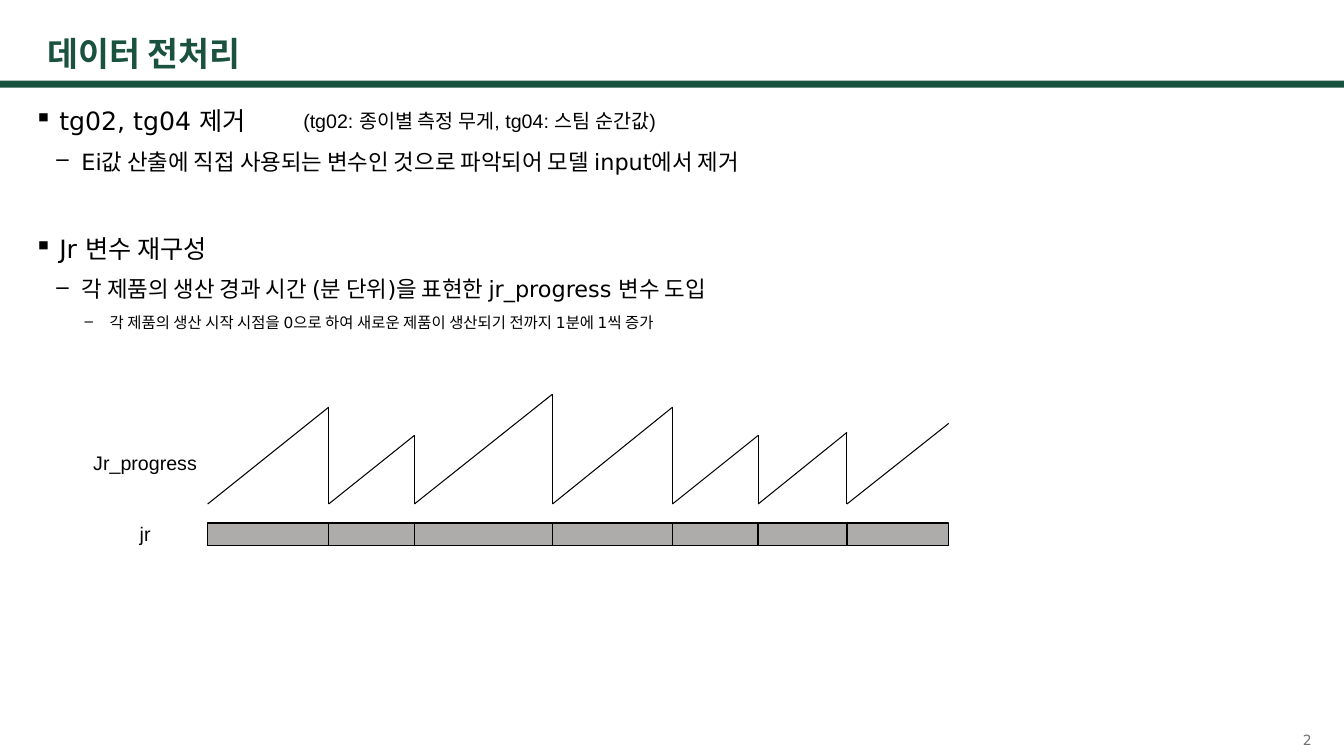
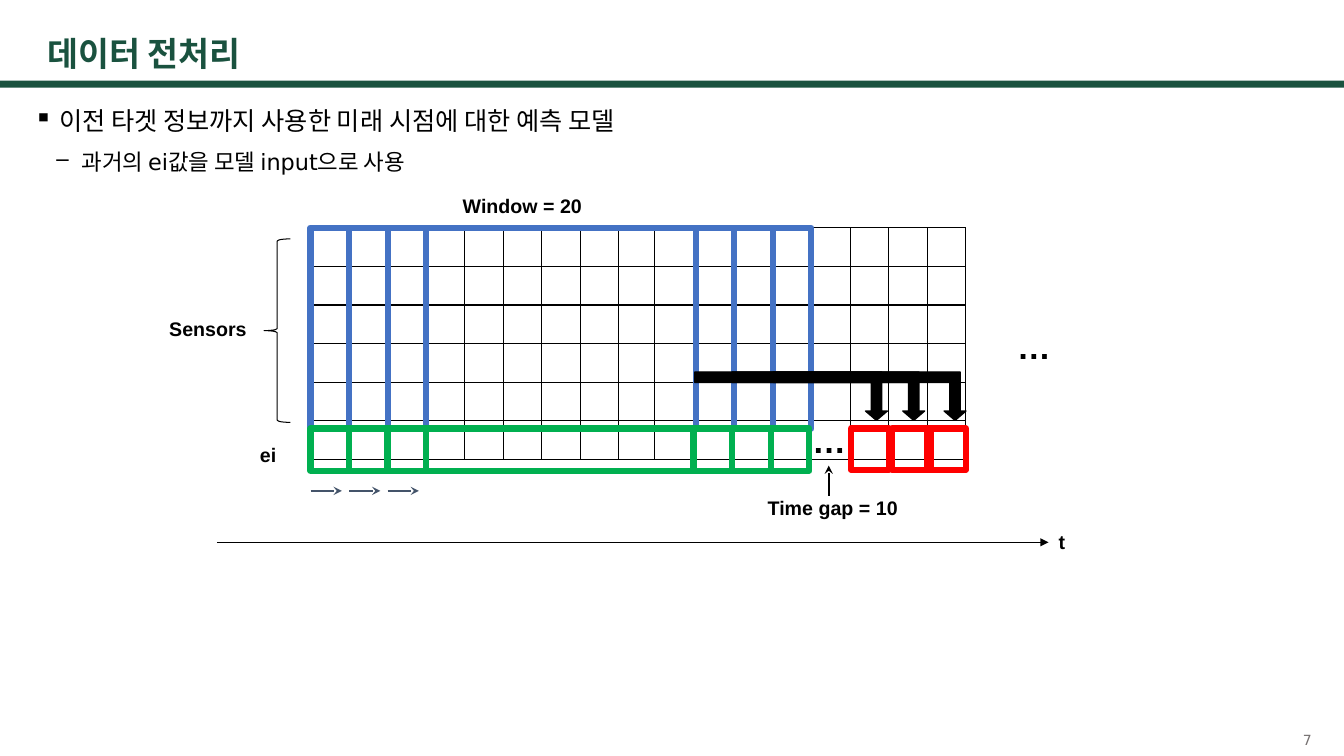
from lxml import etree
from pptx import Presentation
from pptx.dml.color import RGBColor
from pptx.enum.shapes import MSO_CONNECTOR, MSO_SHAPE
from pptx.enum.text import MSO_ANCHOR, PP_ALIGN
from pptx.oxml.ns import qn
from pptx.util import Inches, Pt

RECTANGLE, BRACE, BENT_ARROW = MSO_SHAPE.RECTANGLE, MSO_SHAPE.LEFT_BRACE, MSO_SHAPE.BENT_UP_ARROW
STRAIGHT = MSO_CONNECTOR.STRAIGHT
LEFT, CENTER, RIGHT = PP_ALIGN.LEFT, PP_ALIGN.CENTER, PP_ALIGN.RIGHT
TOP, MIDDLE = MSO_ANCHOR.TOP, MSO_ANCHOR.MIDDLE

COLORS = {
    "green": "1A523F", "black": "000000", "white": "FFFFFF", "number": "757070",
    "bar": "AEABAB", "window": "4472C4", "target": "00B050", "forecast": "FF0000",
    "step": "44546A",
}
BODY_FONT, LABEL_FONT = "DejaVu Sans", "Arial"
TITLE = "데이터 전처리"

# Level: bullet, text indent in inches, size in points
LEVELS = [("▪", 0.25, 18), ("–", 0.47, 16), ("–", 0.75, 11)]
HANGING = 0.25

# Level, space before in points, text
PREPROCESSING = [
    (0, 0, "tg02, tg04 제거"),
    (1, 5, "Ei값 산출에 직접 사용되는 변수인 것으로 파악되어 모델 input에서 제거"),
    (0, 37, "Jr 변수 재구성"),
    (1, 5, "각 제품의 생산 경과 시간 (분 단위)을 표현한 jr_progress 변수 도입"),
    (2, 5, "각 제품의 생산 시작 시점을 0으로 하여 새로운 제품이 생산되기 전까지 1분에 1씩 증가"),
]
PREDICTION = [
    (0, 0, "이전 타겟 정보까지 사용한 미래 시점에 대한 예측 모델"),
    (1, 5, "과거의 ei값을 모델 input으로 사용"),
]

# Text, left, top, width, alignment
PROGRESS_LABELS = [
    ("(tg02: 종이별 측정 무게, tg04: 스팀 순간값)", 2.91, 1.03, 3.94, LEFT),
    ("Jr_progress", 0.76, 4.42, 1.36, CENTER),
    ("jr", 0.76, 5.13, 1.36, CENTER),
]
WINDOW_LABELS = [
    ("t", 10.4, 5.21, 0.78, LEFT),
    ("ei", 2.48, 4.34, 0.78, LEFT),
    ("Sensors", 1.58, 3.09, 1.3, LEFT),
    ("Window = 20", 4.49, 1.87, 1.68, LEFT),
    ("Time gap = 10", 6.91, 4.87, 2.7, CENTER),
]
ELLIPSES = [(9.99, 3.18), (7.96, 4.12)]

PRODUCT_EDGES = [2.06, 3.26, 4.11, 5.48, 6.67, 7.52, 8.4, 9.41]
PROGRESS_PEAKS = [4.04, 4.32, 3.91, 4.04, 4.32, 4.29, 4.2]
PROGRESS_BASE = 5
BAR_TOP, BAR_HEIGHT = 5.19, 0.22

GRID_LEFT, GRID_TOP, GRID_WIDTH, GRID_HEIGHT = 3.08, 2.26, 6.5, 2.3
GRID_ROWS, GRID_COLUMNS = 6, 17
COLUMN = GRID_WIDTH / GRID_COLUMNS
COLUMN_CHANGES = {8: -0.03, 9: 0.03}
WINDOW_COUNT, STEP_COUNT = 4, 3
TARGET_TOP = 4.25
FORECAST_LEFTS = [8.44, 8.85, 9.2]
BENT_ARROW_LEFTS = [6.89, 7.26, 7.67]
BENT_ARROW_ADJUSTMENTS = [0.214, 0.225, 0.193]


def rgb(name):
    return RGBColor.from_string(COLORS[name])


def add_span(para, text, size, font, color="black", bold=False):
    span = para.add_run()
    span.text = text
    span.font.size = Pt(size)
    span.font.name = font
    span.font.bold = bold
    span.font.color.rgb = rgb(color)


def add_box(slide, place, anchor=TOP):
    box = slide.shapes.add_textbox(*map(Inches, place))
    box.text_frame.word_wrap = True
    box.text_frame.vertical_anchor = anchor
    return box.text_frame


def add_label(slide, text, place, size=14, font=LABEL_FONT, color="black",
              bold=False, align=LEFT, anchor=TOP, spacing=1.0):
    para = add_box(slide, place, anchor).paragraphs[0]
    para.alignment = align
    para.line_spacing = spacing
    add_span(para, text, size, font, color, bold)


def add_shape(slide, kind, place, fill=None, line=None, width=1):
    shape = slide.shapes.add_shape(kind, *map(Inches, place))
    shape.shadow.inherit = False
    if fill:
        shape.fill.solid()
        shape.fill.fore_color.rgb = rgb(fill)
    else:
        shape.fill.background()
    if line:
        shape.line.color.rgb = rgb(line)
        shape.line.width = Pt(width)
    else:
        shape.line.fill.background()
    return shape


def add_line(slide, start, end, color="black", width=0.75, arrowhead=None):
    line = slide.shapes.add_connector(STRAIGHT, *map(Inches, (*start, *end)))
    line.line.color.rgb = rgb(color)
    line.line.width = Pt(width)
    if arrowhead:
        etree.SubElement(line.line._get_or_add_ln(), qn("a:tailEnd"), type=arrowhead)
    etree.SubElement(line._element.spPr, qn("a:effectLst"))


def add_bullet(para, level):
    bullet, indent, _ = LEVELS[level]
    properties = para._p.get_or_add_pPr()
    properties.set("marL", str(Inches(indent)))
    properties.set("indent", str(-Inches(HANGING)))
    color = etree.SubElement(properties, qn("a:buClr"))
    etree.SubElement(color, qn("a:srgbClr"), val=COLORS["black"])
    etree.SubElement(properties, qn("a:buChar"), char=bullet)


def add_body(slide, items):
    frame = add_box(slide, (0.24, 0.94, 12.86, 6.2))
    for index, (level, space, text) in enumerate(items):
        para = frame.add_paragraph() if index else frame.paragraphs[0]
        add_bullet(para, level)
        para.level = level
        para.line_spacing = 1.2
        para.space_before = Pt(space)
        add_span(para, text, LEVELS[level][2], BODY_FONT)


def add_page(deck, number, items):
    """Add a slide with the shared band, title, bullets and page number."""
    slide = deck.slides.add_slide(deck.slide_layouts[6])
    add_shape(slide, RECTANGLE, (0, 0.8, 13.33, 0.07), "green")
    add_body(slide, items)
    add_label(slide, TITLE, (0.37, 0.29, 12.6, 0.52), 24, BODY_FONT, "green",
              bold=True, anchor=MIDDLE, spacing=0.9)
    add_label(slide, number, (10.11, 7.24, 3, 0.2), 10, BODY_FONT, "number",
              align=RIGHT, anchor=MIDDLE)
    return slide


def add_labels(slide, labels, bold=False):
    for text, left, top, width, align in labels:
        add_label(slide, text, (left, top, width, 0.34), bold=bold, align=align)


def draw_progress(slide):
    products = list(zip(PRODUCT_EDGES, PRODUCT_EDGES[1:], PROGRESS_PEAKS))
    for start, end, peak in products:
        add_line(slide, (start, PROGRESS_BASE), (end, peak))
        if end != PRODUCT_EDGES[-1]:
            add_line(slide, (end, peak), (end, PROGRESS_BASE))
        add_shape(slide, RECTANGLE, (start, BAR_TOP, end - start, BAR_HEIGHT), "bar", "black")


def style_cell(cell):
    cell.margin_top = cell.margin_bottom = 0
    properties = cell._tc.get_or_add_tcPr()
    for side in ("lnL", "lnR", "lnT", "lnB"):
        border = etree.SubElement(properties, qn(f"a:{side}"), w=str(Pt(1)))
        fill = etree.SubElement(border, qn("a:solidFill"))
        etree.SubElement(fill, qn("a:srgbClr"), val=COLORS["black"])
    cell.fill.solid()
    cell.fill.fore_color.rgb = rgb("white")


def draw_grid(slide):
    place = (GRID_LEFT, GRID_TOP, GRID_WIDTH, GRID_HEIGHT)
    table = slide.shapes.add_table(GRID_ROWS, GRID_COLUMNS, *map(Inches, place)).table
    table.first_row = table.horz_banding = False
    for index, column in enumerate(table.columns):
        column.width = Inches(COLUMN + COLUMN_CHANGES.get(index, 0))
    for row in table.rows:
        row.height = Inches(GRID_HEIGHT / GRID_ROWS)
    for cell in table.iter_cells():
        style_cell(cell)


def draw_windows(slide):
    lefts = [GRID_LEFT + index * COLUMN for index in range(WINDOW_COUNT)]
    for left in lefts:
        add_shape(slide, RECTANGLE, (left, GRID_TOP, 3.82, TARGET_TOP - GRID_TOP),
                  line="window", width=4.5)
    for left in lefts:
        add_shape(slide, RECTANGLE, (left, TARGET_TOP, 3.8, 0.42), line="target", width=4.5)
    for left in FORECAST_LEFTS:
        add_shape(slide, RECTANGLE, (left, TARGET_TOP, 0.38, 0.41), line="forecast", width=4.5)
    for left in lefts[:STEP_COUNT]:
        add_line(slide, (left, 4.87), (left + 0.31, 4.87), "step", 1.5, "stealth")


def draw_bent_arrows(slide):
    for left in BENT_ARROW_LEFTS:
        arrow = add_shape(slide, BENT_ARROW, (left, 3.69, 1.91, 0.48), "black", "black")
        for index, value in enumerate(BENT_ARROW_ADJUSTMENTS):
            arrow.adjustments[index] = value
        arrow.rotation = 180
        arrow._element.spPr.xfrm.set("flipH", "1")


def main():
    deck = Presentation()
    deck.slide_width, deck.slide_height = Inches(13.33), Inches(7.5)

    progress = add_page(deck, "2", PREPROCESSING)
    draw_progress(progress)
    add_labels(progress, PROGRESS_LABELS)

    window = add_page(deck, "7", PREDICTION)
    draw_grid(window)
    brace = add_shape(window, BRACE, (2.62, 2.37, 0.26, 1.82), line="black", width=0.75)
    brace.adjustments[0] = 0.08
    draw_windows(window)
    draw_bent_arrows(window)
    add_labels(window, WINDOW_LABELS, bold=True)
    for left, top in ELLIPSES:
        add_label(window, "…", (left, top, 1.05, 0.5), 24, bold=True)
    add_line(window, (2.15, 5.38), (10.4, 5.38), arrowhead="triangle")
    add_line(window, (8.22, 4.92), (8.22, 4.62), width=1.5, arrowhead="stealth")

    deck.save("out.pptx")


if __name__ == "__main__":
    main()
